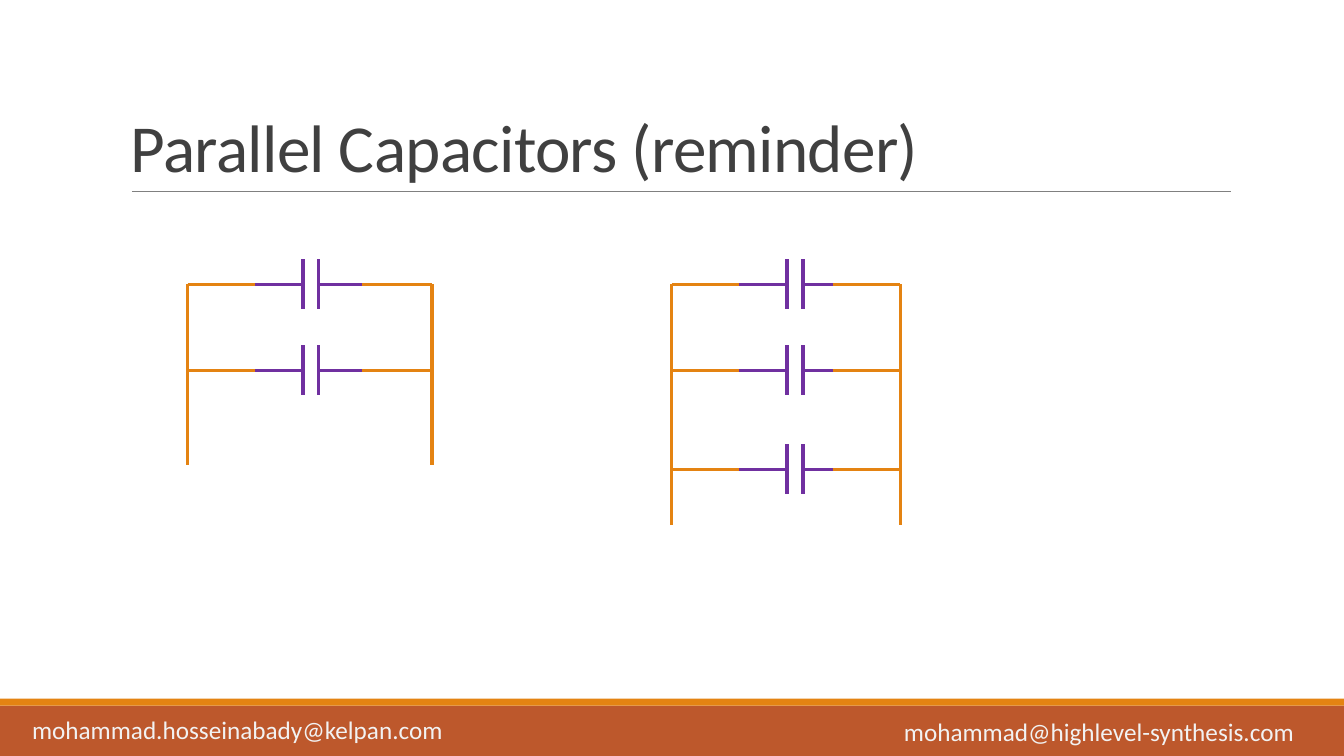
from lxml import etree
from pptx import Presentation
from pptx.dml.color import RGBColor
from pptx.enum.shapes import MSO_CONNECTOR, MSO_SHAPE
from pptx.enum.text import MSO_ANCHOR
from pptx.oxml.ns import qn
from pptx.util import Pt

RECTANGLE = MSO_SHAPE.RECTANGLE
STRAIGHT = MSO_CONNECTOR.STRAIGHT
TOP, BOTTOM = MSO_ANCHOR.TOP, MSO_ANCHOR.BOTTOM

FONT = "Calibri"
ORANGE, RUST, PURPLE = "E48312", "BD582C", "7030A0"
DARK, GREY, PALE = "404040", "808080", "F2F2F2"

# Capacitor and wire measures in points
LEAD_LEFT, PLATE_GAP, LEAD_RIGHT = 34.2, 11.4, 31.4
HALF_PLATE = 17.8
WIRE_LEFT = 48.2
LINE_WIDTH = 2.25


def color(value):
    return RGBColor.from_string(value)


def add_line(shapes, x1, y1, x2, y2, line_color, width=LINE_WIDTH):
    line = shapes.add_connector(STRAIGHT, Pt(x1), Pt(y1), Pt(x2), Pt(y2))
    line.line.color.rgb = color(line_color)
    line.line.width = Pt(width)
    etree.SubElement(line._element.spPr, qn("a:effectLst"))


def add_band(slide, top, height, fill):
    band = slide.shapes.add_shape(RECTANGLE, 0, Pt(top), Pt(960), Pt(height))
    band.shadow.inherit = False
    band.fill.solid()
    band.fill.fore_color.rgb = color(fill)
    band.line.fill.background()


def add_text(slide, text, left, top, width, height, size, text_color, anchor=TOP):
    box = slide.shapes.add_textbox(Pt(left), Pt(top), Pt(width), Pt(height))
    frame = box.text_frame
    frame.word_wrap = True
    frame.vertical_anchor = anchor
    paragraph = frame.paragraphs[0]
    paragraph.text = text
    paragraph.font.name = FONT
    paragraph.font.size = Pt(size)
    paragraph.font.color.rgb = color(text_color)
    return paragraph


def add_capacitor(slide, left, y):
    shapes = slide.shapes.add_group_shape().shapes
    first_plate = left + LEAD_LEFT
    second_plate = first_plate + PLATE_GAP
    add_line(shapes, left, y, first_plate, y, PURPLE)
    for plate in (first_plate, second_plate):
        add_line(shapes, plate, y - HALF_PLATE, plate, y + HALF_PLATE, PURPLE)
    add_line(shapes, second_plate, y, second_plate + LEAD_RIGHT, y, PURPLE)


def add_circuit(slide, left, right, wire_right, bottom, rows):
    # One capacitor with two wires per row, between two vertical rails
    for y in rows:
        add_capacitor(slide, left + WIRE_LEFT, y)
        add_line(slide.shapes, left, y, left + WIRE_LEFT, y, ORANGE)
        add_line(slide.shapes, right - wire_right, y, right, y, ORANGE)
    for rail in (left, right):
        add_line(slide.shapes, rail, rows[0], rail, bottom, ORANGE)


def main():
    presentation = Presentation()
    presentation.slide_width, presentation.slide_height = Pt(960), Pt(540)
    slide = presentation.slides.add_slide(presentation.slide_layouts[6])

    # Footer
    add_band(slide, 504, 36, RUST)
    add_band(slide, 499, 5, ORANGE)
    add_text(slide, "mohammad@highlevel-synthesis.com", 638.6, 507.9, 303, 29, 18, PALE)
    add_text(slide, "mohammad.hosseinabady@kelpan.com", 15.8, 507, 351, 29, 18, PALE)

    # Title
    add_line(slide.shapes, 94.3, 136.6, 879, 136.6, GREY, 0.5)
    title = add_text(slide, "Parallel Capacitors (reminder)",
                     86.4, 22.5, 792, 114.2, 48, DARK, BOTTOM)
    title.line_spacing = 0.85
    title.runs[0].font._element.set("spc", "-50")

    # Circuits
    add_circuit(slide, 134, 308.6, 50, 332.4, (203, 264.4))
    add_circuit(slide, 479.8, 643, 48.2, 375, (203, 264.4, 335.3))

    presentation.save("out.pptx")


if __name__ == "__main__":
    main()
